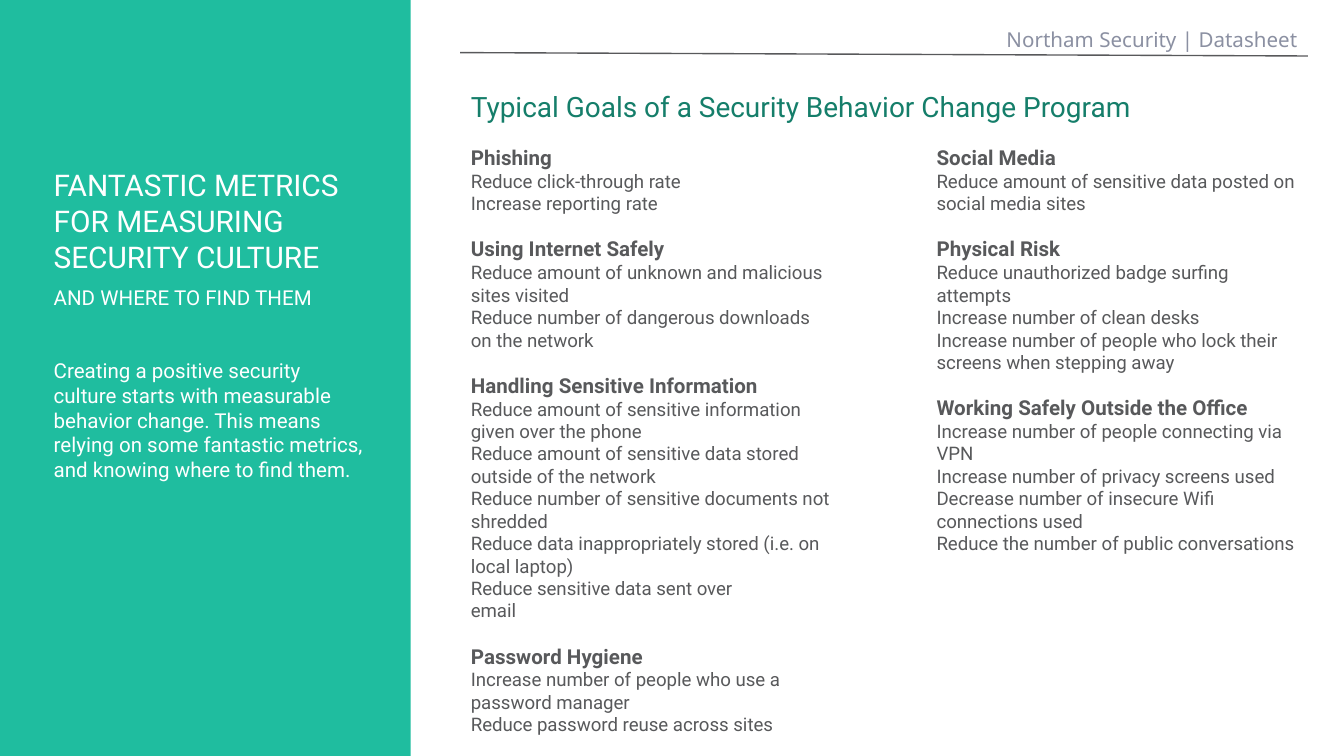
"""Build a slide on typical goals of a security behavior change program."""
from pptx import Presentation
from pptx.dml.color import RGBColor
from pptx.enum import shapes, text
from pptx.oxml import ns, xmlchemy
from pptx.util import Pt

TEAL = RGBColor(0x1F, 0xBD, 0x9F)
DARK_TEAL = RGBColor(0x15, 0x7E, 0x6A)
GRAY = RGBColor(0x58, 0x59, 0x5B)
SLATE = RGBColor(0x8B, 0x90, 0xA2)
WHITE = RGBColor(0xFF, 0xFF, 0xFF)

LEFT_GOALS = {
    "Phishing": ["Reduce click-through rate", "Increase reporting rate"],
    "Using Internet Safely": [
        "Reduce amount of unknown and malicious sites visited",
        "Reduce number of dangerous downloads on the network",
    ],
    "Handling Sensitive Information": [
        "Reduce amount of sensitive information given over the phone",
        "Reduce amount of sensitive data stored outside of the network",
        "Reduce number of sensitive documents not shredded",
        "Reduce data inappropriately stored (i.e. on local laptop)",
        "Reduce sensitive data sent over",
        "email",
    ],
    "Password Hygiene": [
        "Increase number of people who use a password manager",
        "Reduce password reuse across sites",
    ],
}
RIGHT_GOALS = {
    "Social Media": ["Reduce amount of sensitive data posted on social media sites"],
    "Physical Risk": [
        "Reduce unauthorized badge surfing attempts",
        "Increase number of clean desks",
        "Increase number of people who lock their screens when stepping away",
    ],
    "Working Safely Outside the Office": [
        "Increase number of people connecting via VPN",
        "Increase number of privacy screens used",
        "Decrease number of insecure Wifi connections used",
        "Reduce the number of public conversations",
    ],
}


class Deck:
    font = "Roboto"
    inset = Pt(5.76)
    group_gap = 11.7

    def __init__(self, width, height):
        self.prs = Presentation()
        self.prs.slide_width, self.prs.slide_height = Pt(width), Pt(height)
        self.s = self.prs.slides.add_slide(self.prs.slide_layouts[5])

    def panel(self, x, y, w, h, color):
        sp = self.s.shapes.add_shape(
            shapes.MSO_SHAPE.RECTANGLE, Pt(x), Pt(y), Pt(w), Pt(h))
        sp.shadow.inherit = False
        sp.fill.solid()
        sp.fill.fore_color.rgb = color
        sp.line.fill.background()

    def rule(self, x1, y1, x2, y2, color):
        line = self.s.shapes.add_connector(
            shapes.MSO_CONNECTOR.STRAIGHT, Pt(x1), Pt(y1), Pt(x2), Pt(y2))
        line.line.color.rgb = color
        line.line.width = Pt(0.75)
        line._element.spPr.append(xmlchemy.OxmlElement("a:effectLst"))

    def fill_text(self, sp, paras, color, font=None, align=text.PP_ALIGN.LEFT):
        tf = sp.text_frame
        tf.word_wrap = True
        tf.auto_size = text.MSO_AUTO_SIZE.NONE
        tf.vertical_anchor = text.MSO_ANCHOR.TOP
        tf.margin_left = tf.margin_right = self.inset
        tf.margin_top = tf.margin_bottom = self.inset
        for i, (words, size, bold, before) in enumerate(paras):
            p = tf.add_paragraph() if i else tf.paragraphs[0]
            p.text = words
            p.alignment = align
            p.space_before = Pt(before)
            p.font.name = font or self.font
            p.font.size = Pt(size)
            p.font.bold = bold
            p.font.color.rgb = color

    def title(self, x, y, w, h, words, size, color):
        sp = self.s.shapes.title
        sp.left, sp.top, sp.width, sp.height = Pt(x), Pt(y), Pt(w), Pt(h)
        self.fill_text(sp, [(words, size, False, 0)], color)

    def textbox(self, x, y, w, h, paras, color, **style):
        sp = self.s.shapes.add_textbox(Pt(x), Pt(y), Pt(w), Pt(h))
        self.fill_text(sp, paras, color, **style)

    def goals(self, x, y, w, h, groups):
        paras = []
        for heading, items in groups.items():
            paras.append((heading, 11, True, self.group_gap if paras else 0))
            paras += [(item, 10, False, 0) for item in items]
        self.textbox(x, y, w, h, paras, GRAY)


def main():
    deck = Deck(720, 405)
    deck.panel(0, 0, 220, 405, TEAL)
    deck.rule(246.5, 28.2, 700.6, 30, GRAY)
    deck.textbox(508, 8.6, 193, 20, [("Northam Security | Datasheet", 11, False, 0)],
                 SLATE, font="Noto Sans", align=text.PP_ALIGN.RIGHT)
    deck.title(246.5, 42, 454, 33, "Typical Goals of a Security Behavior Change Program",
               15, DARK_TEAL)
    for x, groups in ((246.5, LEFT_GOALS), (496, RIGHT_GOALS)):
        deck.goals(x, 72, 204.5, 202, groups)
    deck.textbox(23, 83.5, 178.5, 78, [
        ("FANTASTIC METRICS FOR MEASURING SECURITY CULTURE", 16, False, 0),
        ("AND WHERE TO FIND THEM", 11, False, 5.9),
        ("Creating a positive security culture starts with measurable behavior change. "
         "This means relying on some fantastic metrics, and knowing where to find them.",
         11, False, 26),
    ], WHITE)
    deck.prs.save("out.pptx")


if __name__ == "__main__":
    main()
